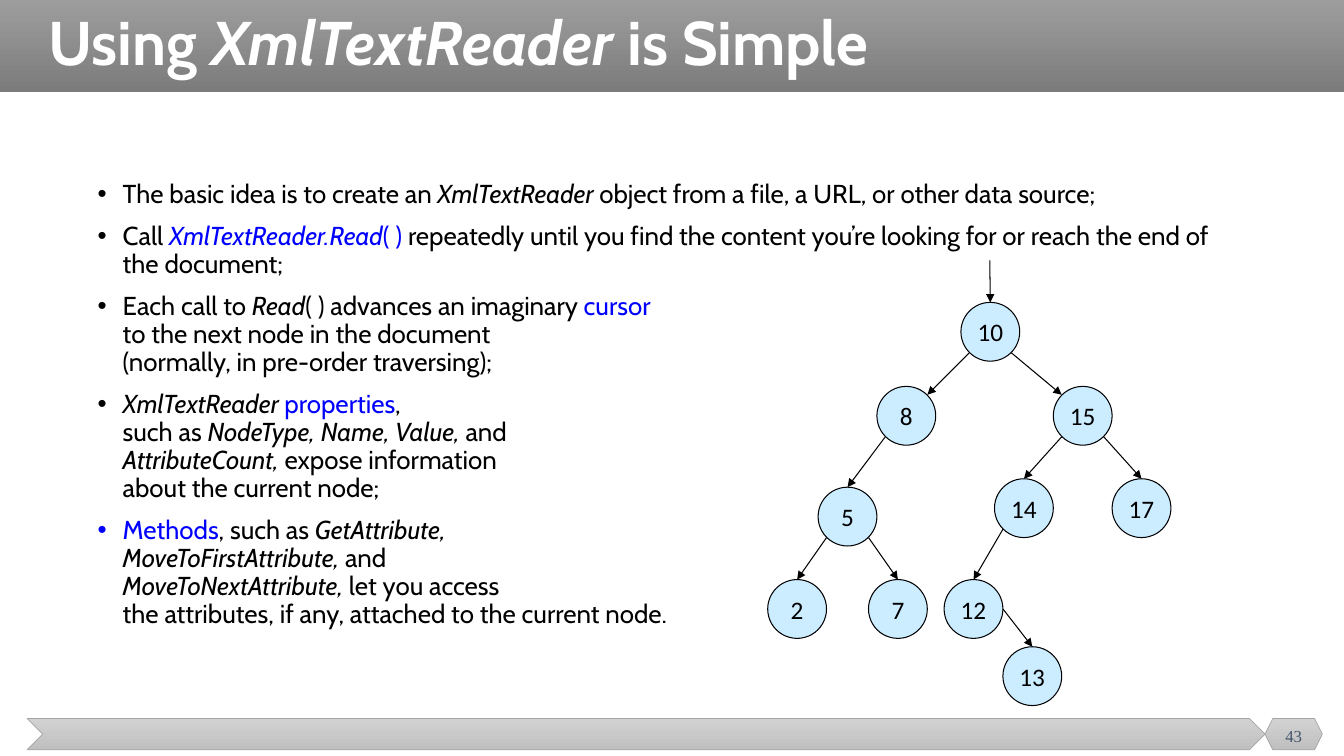
import pptx
import pptx.dml.color
import pptx.enum.dml
import pptx.enum.shapes
import pptx.enum.text
import pptx.util
from lxml import etree
from pptx.oxml.ns import qn

Pt = pptx.util.Pt
SHAPE = pptx.enum.shapes.MSO_SHAPE
MIDDLE = pptx.enum.text.MSO_ANCHOR.MIDDLE
CENTER = pptx.enum.text.PP_ALIGN.CENTER


def rgb(hex_string):
    return pptx.dml.color.RGBColor.from_string(hex_string)


def add_runs(p, runs, size, font, default_color, bold=None):
    """Add (text, style) runs; style holds "i" for italic, "b" for blue."""
    for text, style in runs:
        for i, line in enumerate(text.split("\n")):
            if i:
                p.add_line_break()
            if not line:
                continue
            r = p.add_run()
            r.text = line
            r.font.size = Pt(size)
            r.font.name = font
            r.font.bold = bold
            r.font.italic = "i" in style
            r.font.color.rgb = rgb("0000FF" if "b" in style else default_color)


prs = pptx.Presentation()
prs.slide_width, prs.slide_height = Pt(960), Pt(540)
s = prs.slides.add_slide(prs.slide_layouts[6])

# Title band and footer
bands = [
    (SHAPE.RECTANGLE, 0, 0, 960, 65.6, "9D9D9D", "7C7C7C", None),
    (SHAPE.CHEVRON, 19.4, 513.2, 884.2, 22.4, "D2D2D2", "C0C0C0", "A5A5A5"),
    (SHAPE.HEXAGON, 903.6, 513.2, 41, 22.4, "D2D2D2", "C0C0C0", "A5A5A5"),
]
for kind, x, y, w, h, top_color, bottom_color, outline in bands:
    sp = s.shapes.add_shape(kind, Pt(x), Pt(y), Pt(w), Pt(h))
    sp.shadow.inherit = False
    sp.fill.gradient()
    sp.fill.gradient_angle = 270
    for stop, color in zip(sp.fill.gradient_stops, (top_color, bottom_color)):
        stop.color.rgb = rgb(color)
    if outline:
        sp.line.color.rgb = rgb(outline)
        sp.line.width = Pt(0.5)
    else:
        sp.line.fill.background()

# Title
tf = s.shapes.add_textbox(Pt(27.4), 0, Pt(917), Pt(65.6)).text_frame
tf.word_wrap = True
tf.vertical_anchor = MIDDLE
p = tf.paragraphs[0]
p.line_spacing = 0.9
add_runs(p, [("Using ", ""), ("XmlTextReader ", "i"), ("is Simple", "")],
         44, "Cabin", "FFFFFF", bold=True)

# Slide number
tf = s.shapes.add_textbox(Pt(903.6), Pt(511.2), Pt(41), Pt(28.8)).text_frame
tf.word_wrap = True
tf.vertical_anchor = MIDDLE
p = tf.paragraphs[0]
p.alignment = CENTER
add_runs(p, [("43", "")], 12, "Times New Roman", "44546A")

# Bullets
bullets = [
    [("The basic idea is to create an ", ""), ("XmlTextReader ", "i"),
     ("object from a file, a URL, or other data source;", "")],
    [("Call ", ""), ("XmlTextReader.Read", "bi"), ("( ) ", "b"),
     ("repeatedly until you find the content you’re looking for "
      "or reach the end of the document;", "")],
    [("Each call to ", ""), ("Read", "i"), ("( ) advances an imaginary ", ""),
     ("cursor \n", "b"),
     ("to the next node in the document \n(normally, in pre-order traversing);", "")],
    [("XmlTextReader ", "i"), ("properties", "b"), (", \nsuch as ", ""),
     ("NodeType, Name, Value, ", "i"), ("and \n", ""), ("AttributeCount, ", "i"),
     ("expose information \nabout the current node;", "")],
    [("Methods", "b"), (", such as ", ""),
     ("GetAttribute, \nMoveToFirstAttribute, ", "i"), ("and \n", ""),
     ("MoveToNextAttribute, ", "i"),
     ("let you access \nthe attributes, if any, attached to the current node.", "")],
]
tf = s.shapes.add_textbox(Pt(62.6), Pt(126), Pt(828), Pt(342.7)).text_frame
tf.word_wrap = True
for i, runs in enumerate(bullets):
    p = tf.add_paragraph() if i else tf.paragraphs[0]
    p.line_spacing = 0.9
    if i:
        p.space_before = Pt(10)
    pPr = p._p.get_or_add_pPr()
    pPr.set("marL", str(Pt(18)))
    pPr.set("indent", str(Pt(-18)))
    etree.SubElement(pPr, qn("a:buFont")).set("typeface", "Arial")
    etree.SubElement(pPr, qn("a:buChar")).set("char", "•")
    add_runs(p, runs, 18.5, "Cabin", "000000")

# Binary tree: left and top of each node
NODE_SIZE = 42
nodes = {
    10: (686.4, 216),
    8: (626.4, 276), 15: (752.4, 276),
    5: (584.4, 348), 14: (710.4, 342), 17: (794.4, 342),
    2: (548.4, 414), 7: (620.4, 414), 12: (674.4, 414),
    13: (716.4, 462),
}
for value, (x, y) in nodes.items():
    sp = s.shapes.add_shape(SHAPE.OVAL, Pt(x), Pt(y), Pt(NODE_SIZE), Pt(NODE_SIZE))
    sp.shadow.inherit = False
    sp.fill.solid()
    sp.fill.fore_color.rgb = rgb("CCECFF")
    sp.line.color.rgb = rgb("000000")
    sp.line.width = Pt(0.75)
    tf = sp.text_frame
    tf.word_wrap = False
    tf.vertical_anchor = MIDDLE
    p = tf.paragraphs[0]
    p.alignment = CENTER
    add_runs(p, [(str(value), "")], 18, "Calibri", "000000")

# Arrows join points on the node outlines
anchors = {
    "top": (21, 0), "right": (42, 21),
    "top left": (6, 6), "top right": (36, 6),
    "bottom left": (6, 36), "bottom right": (36, 36),
}
edges = [
    (10, "bottom left", 8, "top right"), (10, "bottom right", 15, "top left"),
    (8, "bottom left", 5, "top"),
    (15, "bottom left", 14, "top"), (15, "bottom right", 17, "top"),
    (5, "bottom left", 2, "top"), (5, "bottom right", 7, "top"),
    (14, "bottom left", 12, "top"), (12, "right", 13, "top"),
]
arrows = [(707, 186, 707.4, 216)]
for parent, start, child, end in edges:
    (px, py), (cx, cy) = nodes[parent], nodes[child]
    (sx, sy), (ex, ey) = anchors[start], anchors[end]
    arrows.append((px + sx, py + sy, cx + ex, cy + ey))
for arrow in arrows:
    line = s.shapes.add_connector(pptx.enum.shapes.MSO_CONNECTOR.STRAIGHT,
                                  *[Pt(v) for v in arrow])
    line.line.color.rgb = rgb("000000")
    line.line.width = Pt(0.75)
    etree.SubElement(line.line._get_or_add_ln(), qn("a:tailEnd")).set("type", "triangle")
    etree.SubElement(line._element.spPr, qn("a:effectLst"))

prs.save("out.pptx")
